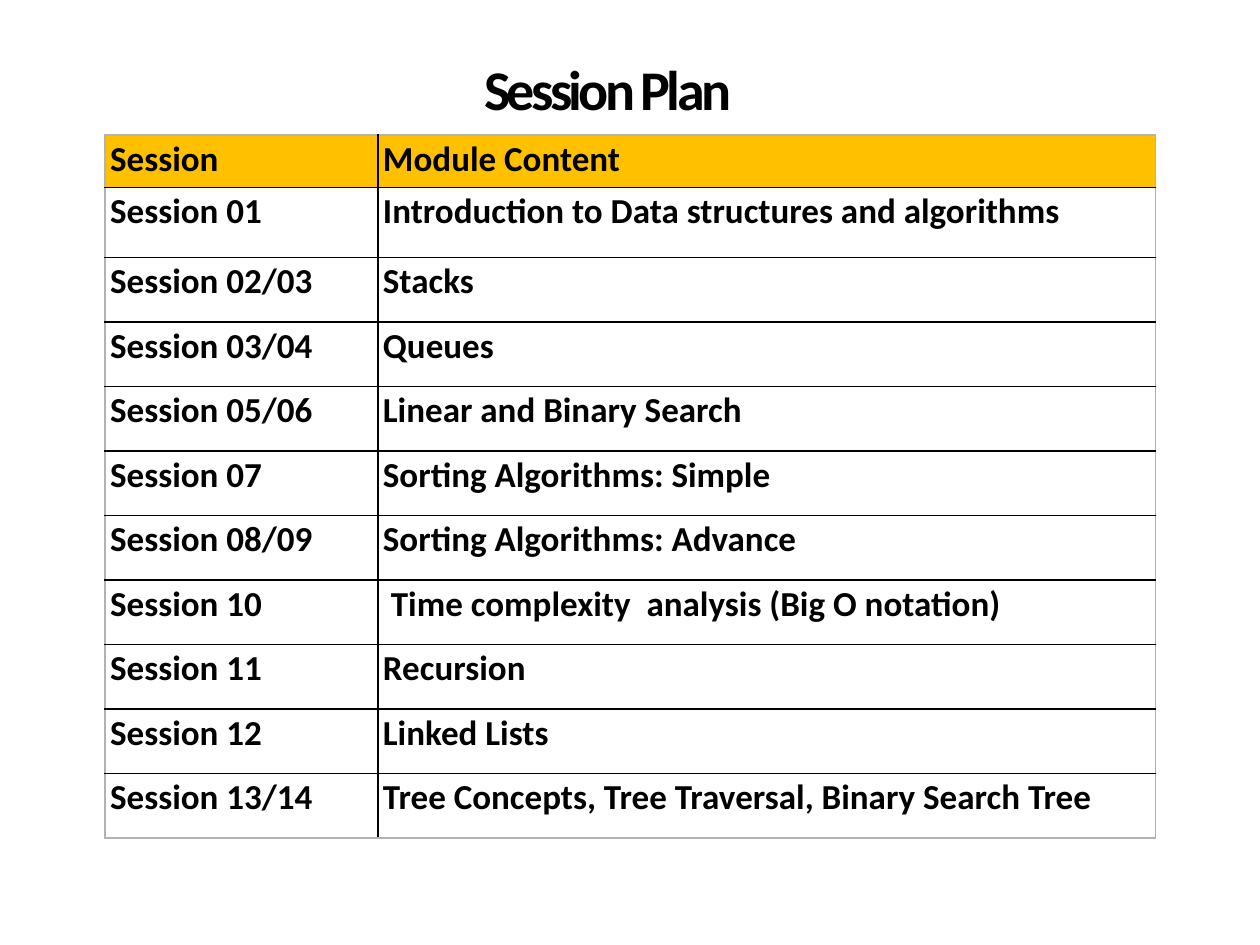
from lxml import etree
from pptx import Presentation
from pptx.dml.color import RGBColor
from pptx.enum.text import MSO_AUTO_SIZE
from pptx.oxml.ns import qn
from pptx.util import Cm, Pt

FIT_SHAPE = MSO_AUTO_SIZE.SHAPE_TO_FIT_TEXT
COLORS = {"text": "000000", "header": "FFC000", "grid": "000000", "frame": "B2B2B2"}
FONT = "Calibri"
SESSIONS = [
    ("Session", "Module Content"),
    ("Session 01", "Introduction to Data structures and algorithms"),
    ("Session 02/03", "Stacks"),
    ("Session 03/04", "Queues"),
    ("Session 05/06", "Linear and Binary Search"),
    ("Session 07", "Sorting Algorithms: Simple"),
    ("Session 08/09", "Sorting Algorithms: Advance"),
    ("Session 10", " Time complexity  analysis (Big O notation)"),
    ("Session 11", "Recursion"),
    ("Session 12", "Linked Lists"),
    ("Session 13/14", "Tree Concepts, Tree Traversal, Binary Search Tree"),
]
COLUMN_WIDTHS = [5.5, 15.67]
ROW_HEIGHTS = [1.06, 1.41] + [1.3] * (len(SESSIONS) - 2)


def style_font(paragraph, size):
    font = paragraph.font
    font.name, font.size, font.bold = FONT, Pt(size), True
    font.color.rgb = RGBColor.from_string(COLORS["text"])


def set_borders(cell, edge_colors):
    """Draw 1 pt cell borders; edge_colors runs left, right, top, bottom."""
    properties = cell._tc.get_or_add_tcPr()
    for position, (tag, color) in enumerate(zip(("a:lnL", "a:lnR", "a:lnT", "a:lnB"), edge_colors)):
        line = etree.Element(qn(tag), w=str(Pt(1)))
        fill = etree.SubElement(line, qn("a:solidFill"))
        etree.SubElement(fill, qn("a:srgbClr"), val=COLORS[color])
        properties.insert(position, line)


presentation = Presentation()
presentation.slide_width, presentation.slide_height = Cm(25.4), Cm(19.05)
slide = presentation.slides.add_slide(presentation.slide_layouts[6])

# Session table
table = slide.shapes.add_table(
    len(SESSIONS), len(COLUMN_WIDTHS), Cm(2.12), Cm(2.72),
    Cm(sum(COLUMN_WIDTHS)), Cm(sum(ROW_HEIGHTS)),
).table
table.first_row = table.horz_banding = False
for column, width in zip(table.columns, COLUMN_WIDTHS):
    column.width = Cm(width)

last_row, last_column = len(SESSIONS) - 1, len(COLUMN_WIDTHS) - 1
for row, texts in enumerate(SESSIONS):
    table.rows[row].height = Cm(ROW_HEIGHTS[row])
    for column, text in enumerate(texts):
        cell = table.cell(row, column)
        cell.margin_left = cell.margin_right = Cm(0.1)
        cell.margin_top = cell.margin_bottom = 0
        cell.text = text
        paragraph = cell.text_frame.paragraphs[0]
        paragraph.line_spacing = 1.07
        style_font(paragraph, 20)
        if row == 0:
            cell.fill.solid()
            cell.fill.fore_color.rgb = RGBColor.from_string(COLORS["header"])
        else:
            cell.fill.background()
        on_frame = (column == 0, column == last_column, row == 0, row == last_row)
        set_borders(cell, ["frame" if outer else "grid" for outer in on_frame])

# Title
title = slide.shapes.add_textbox(Cm(9.73), Cm(1.07), Cm(8.2), Cm(1.4))
frame = title.text_frame
frame.word_wrap = True
frame.auto_size = FIT_SHAPE
frame.margin_left = frame.margin_right = frame.margin_bottom = 0
frame.margin_top = Cm(0.03)
frame.text = "Session Plan"
paragraph = frame.paragraphs[0]
paragraph._p.get_or_add_pPr().set("marL", str(Cm(0.03)))
style_font(paragraph, 32)
paragraph.runs[0]._r.get_or_add_rPr().set("spc", "-210")

presentation.save("out.pptx")
